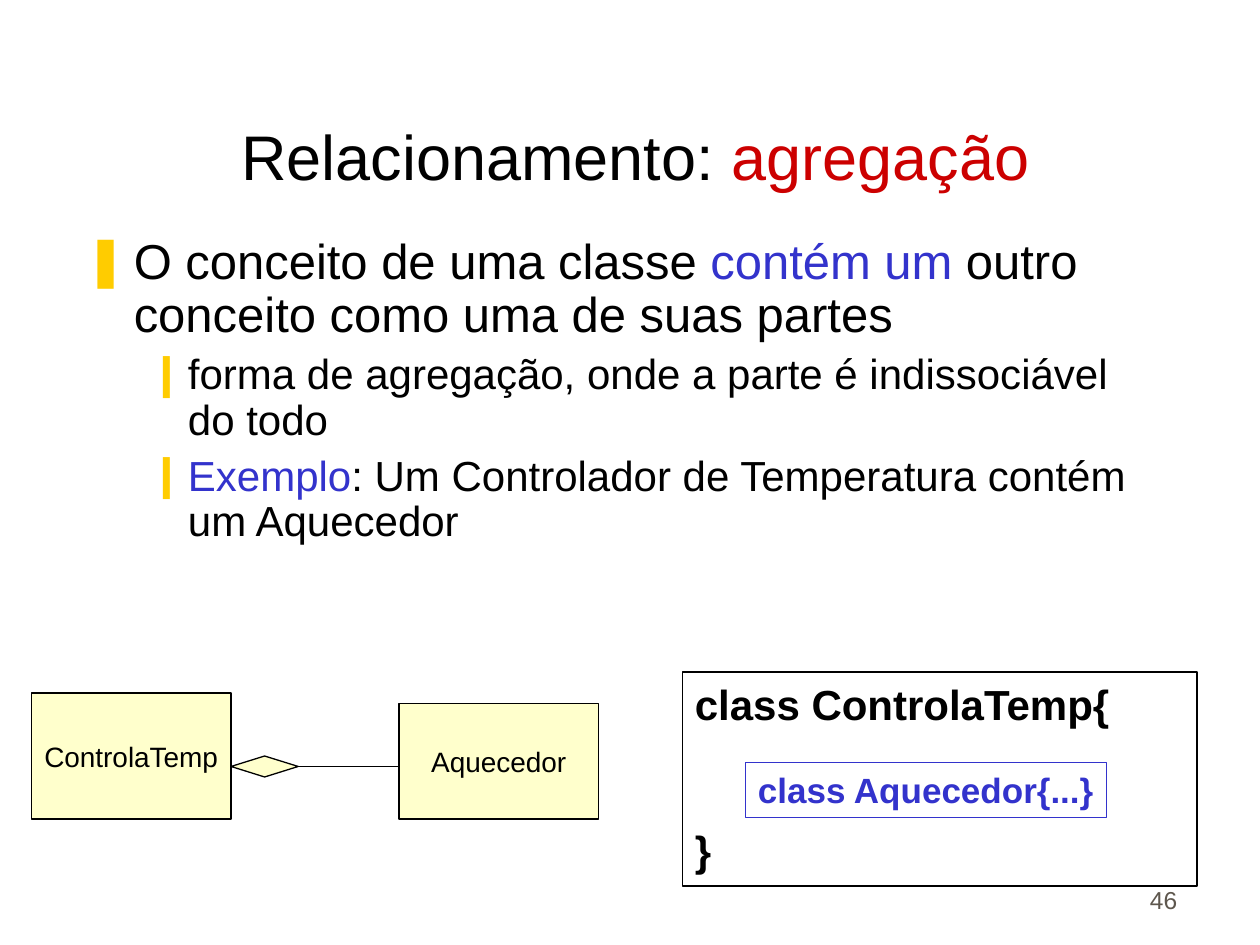
"""Builds a slide on the aggregation relationship between classes."""
from lxml.etree import SubElement
from pptx import Presentation
from pptx.dml.color import RGBColor as Rgb
from pptx.enum.shapes import MSO_CONNECTOR as Conn, MSO_SHAPE as Kind
from pptx.enum.text import MSO_ANCHOR as Anchor, PP_ALIGN as Align
from pptx.oxml.ns import qn
from pptx.util import Inches, Pt

HUES = {"ink": "000000", "red": "CC0000", "blue": "3333CC",
        "gold": "FFCC00", "cream": "FFFFCC", "gray": "5E574E"}
WIDE, HIGH = 10, 7.5
UNIT = WIDE / 120

TITLE = [[("Relacionamento: ", "ink"), ("agregação", "red")]]
POINTS = [
    (0, [("O conceito de uma classe ", "ink"), ("contém um", "blue"),
         (" outro conceito como uma de suas partes", "ink")]),
    (1, [("forma de agregação, onde a parte é indissociável do todo", "ink")]),
    (1, [("Exemplo", "blue"),
         (": Um Controlador de Temperatura contém um Aquecedor", "ink")]),
]
LEVELS = [dict(size=28, left=0.38, hang=0.38, before=0, mark="❚"),
          dict(size=24, left=0.81, hang=0.31, before=6, mark="❙")]
OUTER = [[("class ControlaTemp{", "ink")], [("}", "ink")]]
INNER = [[("class Aquecedor{...}", "blue")]]
CLASSES = [("ControlaTemp", (3, 66, 19, 12)), ("Aquecedor", (38, 67, 19, 11))]
NUMBER = [[("46", "gray")]]


def grid(*cells):
    return [Inches(cell * UNIT) for cell in cells]


def tint(name):
    return Rgb.from_string(HUES[name])


def write(shape, paras, size=16, bold=False, align=Align.LEFT,
          anchor=Anchor.TOP, wrap=True, gap=0, levels=None):
    frame = shape.text_frame
    frame.word_wrap = wrap
    frame.vertical_anchor = anchor
    for i, runs in enumerate(paras):
        para = frame.paragraphs[0] if i == 0 else frame.add_paragraph()
        para.alignment = align
        style = LEVELS[levels[i]] if levels else dict(size=size, before=gap)
        if i:
            para.space_before = Pt(style["before"])
        if levels:
            para.level = levels[i]
            para.line_spacing = 0.9
            bullet(para, style)
        for text, hue in runs:
            run = para.add_run()
            run.text = text
            font = run.font
            font.name, font.size, font.bold = "Arial", Pt(style["size"]), bold
            font.color.rgb = tint(hue)


def bullet(para, style):
    props = para._p.get_or_add_pPr()
    props.set("marL", str(Inches(style["left"])))
    props.set("indent", str(-Inches(style["hang"])))
    hue = SubElement(props, qn("a:buClr"))
    SubElement(hue, qn("a:srgbClr"), val=HUES["gold"])
    SubElement(props, qn("a:buFont"), typeface="Arial")
    SubElement(props, qn("a:buChar"), char=style["mark"])


def block(slide, kind, cells, edge="ink", fill=None):
    shape = slide.shapes.add_shape(kind, *grid(*cells))
    shape.shadow.inherit = False
    shape.line.color.rgb = tint(edge)
    shape.line.width = Pt(0.75)
    if fill:
        shape.fill.solid()
        shape.fill.fore_color.rgb = tint(fill)
    else:
        shape.fill.background()
    return shape


def label(slide, cells, paras, **form):
    write(slide.shapes.add_textbox(*grid(*cells)), paras, **form)


def main():
    deck = Presentation()
    deck.slide_width, deck.slide_height = Inches(WIDE), Inches(HIGH)
    slide = deck.slides.add_slide(deck.slide_layouts[6])

    label(slide, (2, 6, 117, 13), TITLE, size=36,
          align=Align.CENTER, anchor=Anchor.BOTTOM)
    label(slide, (7, 22, 104, 36.25), [runs for _, runs in POINTS],
          levels=[level for level, _ in POINTS])

    write(block(slide, Kind.RECTANGLE, (65, 64, 49, 20.4)), OUTER,
          size=24, bold=True, gap=55)
    write(block(slide, Kind.RECTANGLE, (71, 72.6, 34.4, 5.25), edge="blue"),
          INNER, size=20, bold=True, wrap=False)

    link = slide.shapes.add_connector(Conn.STRAIGHT, *grid(23, 73, 38, 73))
    link.line.color.rgb = tint("ink")
    link.line.width = Pt(0.75)
    SubElement(link._element.spPr, qn("a:effectLst"))
    for name, cells in CLASSES:
        write(block(slide, Kind.RECTANGLE, cells, fill="cream"),
              [[(name, "ink")]], align=Align.CENTER,
              anchor=Anchor.MIDDLE, wrap=False)
    block(slide, Kind.DIAMOND, (22, 72, 6.4, 2), fill="cream")

    label(slide, (88.3, 81.7, 25, 6), NUMBER, size=14,
          align=Align.RIGHT, anchor=Anchor.BOTTOM)
    deck.save("out.pptx")


if __name__ == "__main__":
    main()
